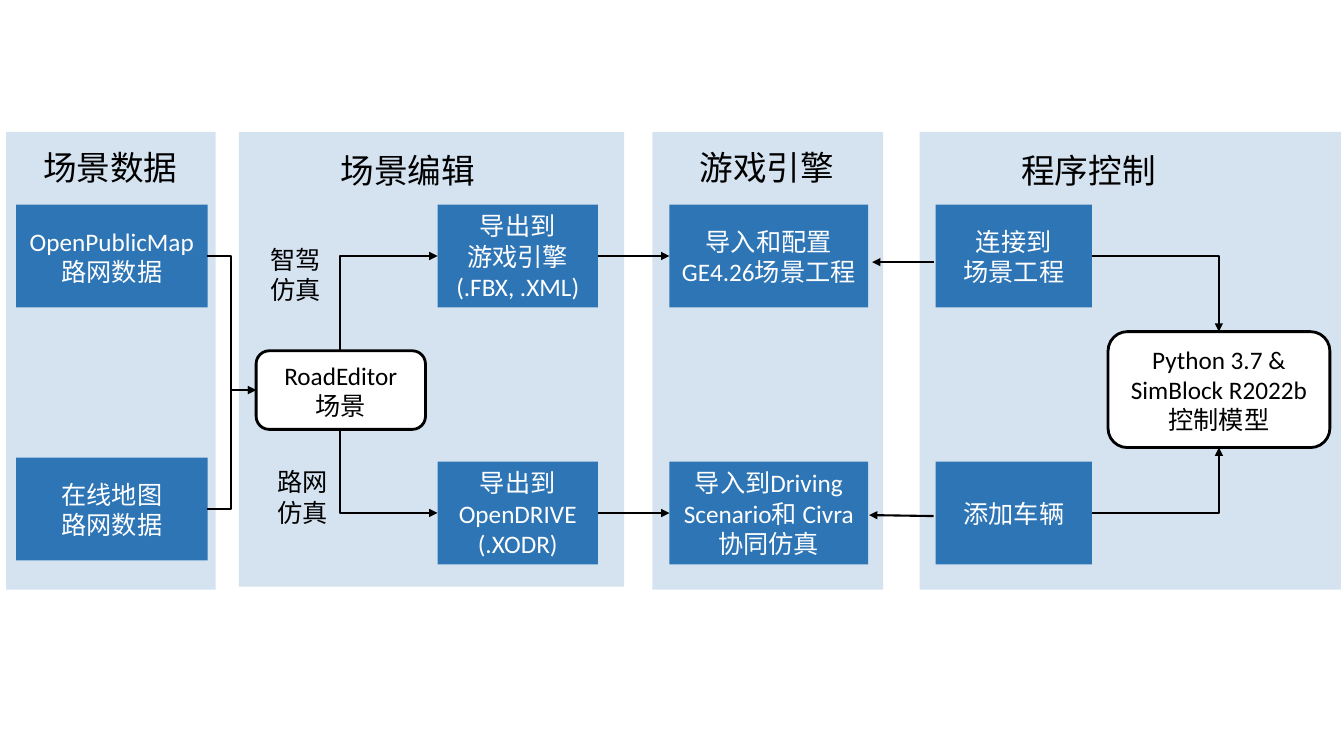
"""Builds a four-stage workflow slide for driving scene simulation."""
from dataclasses import dataclass

from lxml import etree
from pptx import Presentation
from pptx import util as u
from pptx.dml.color import RGBColor
from pptx.enum import shapes, text
from pptx.oxml.ns import qn

BLUE = RGBColor(0x2E, 0x75, 0xB6)
WHITE = RGBColor(0xFF, 0xFF, 0xFF)
BLACK = RGBColor(0x00, 0x00, 0x00)

PANEL_TOP = 1.31
STEP_HEIGHT = 1.02
UPPER_TOP, LOWER_TOP = 2.03, 4.58
UPPER_MID, LOWER_MID = UPPER_TOP + STEP_HEIGHT / 2, LOWER_TOP + STEP_HEIGHT / 2
SOURCE_TOP = 4.54
SOURCE_MID = SOURCE_TOP + STEP_HEIGHT / 2


@dataclass(frozen=True)
class Panel:
    left: float
    width: float
    height: float = 4.54


@dataclass(frozen=True)
class Box:
    words: str
    left: float
    top: float
    width: float
    height: float = STEP_HEIGHT
    rounded: bool = False


@dataclass(frozen=True)
class Label:
    words: str
    left: float
    top: float
    width: float
    height: float = 0.5
    size: int = 24


@dataclass(frozen=True)
class Arrow:
    start: tuple[float, float]
    end: tuple[float, float]
    route: str = "line"
    arrow_end: str = "tailEnd"


PANELS = [Panel(0.06, 2.08), Panel(2.37, 3.82, 4.51), Panel(6.47, 2.29), Panel(9.12, 4.18)]

BOXES = [
    Box("OpenPublicMap路网数据", 0.16, UPPER_TOP, 1.9),
    Box("在线地图\n路网数据", 0.16, SOURCE_TOP, 1.9),
    Box("RoadEditor 场景", 2.54, 3.48, 1.68, 0.78, True),
    Box("导出到\n游戏引擎\n(.FBX, .XML)", 4.34, UPPER_TOP, 1.59),
    Box("导出到\nOpenDRIVE\n(.XODR)", 4.34, LOWER_TOP, 1.59),
    Box("导入和配置\nGE4.26场景工程", 6.64, UPPER_TOP, 1.97),
    Box("导入到Driving Scenario和 Civra协同仿真", 6.64, LOWER_TOP, 1.97),
    Box("连接到\n场景工程", 9.28, UPPER_TOP, 1.55),
    Box("添加车辆", 9.28, LOWER_TOP, 1.55),
    Box("Python 3.7 & SimBlock R2022b\n控制模型", 10.99, 3.29, 2.2, 1.15, True),
]

LABELS = [
    Label("场景数据", 0.33, 1.41, 1.56),
    Label("场景编辑", 3.28, 1.44, 1.55),
    Label("游戏引擎", 6.84, 1.41, 1.56),
    Label("程序控制", 10.03, 1.44, 1.55),
    Label("智驾\n仿真", 2.58, 2.37, 0.71, 0.71, 18),
    Label("路网\n仿真", 2.65, 4.58, 0.71, 0.71, 18),
]

ARROWS = [
    Arrow((2.05, UPPER_MID), (2.54, 3.87), "bentConnector3"),
    Arrow((2.05, SOURCE_MID), (2.54, 3.87), "bentConnector3"),
    Arrow((4.34, UPPER_MID), (3.37, 3.48), "bentConnector2", "headEnd"),
    Arrow((4.34, LOWER_MID), (3.37, 4.26), "bentConnector2", "headEnd"),
    Arrow((5.93, UPPER_MID), (6.64, UPPER_MID)),
    Arrow((5.93, LOWER_MID), (6.64, LOWER_MID)),
    Arrow((9.26, 2.6), (8.65, 2.6)),
    Arrow((9.26, 5.12), (8.62, 5.11)),
    Arrow((10.83, UPPER_MID), (12.09, 3.29), "bentConnector2"),
    Arrow((10.83, LOWER_MID), (12.09, 4.44), "bentConnector2"),
]


def write(frame, words: str, font: str, size: int, color: RGBColor, align) -> None:
    """Fill a text frame and format all its runs alike."""
    frame.text = words
    for para in frame.paragraphs:
        para.alignment = align
        for span in para.runs:
            span.font.name = font
            span.font.size = u.Pt(size)
            span.font.color.rgb = color


def draw_panel(page, panel: Panel) -> None:
    """Draw a translucent stage background."""
    shape = page.shapes.add_shape(
        shapes.MSO_SHAPE.RECTANGLE, u.Inches(panel.left), u.Inches(PANEL_TOP),
        u.Inches(panel.width), u.Inches(panel.height))
    shape.shadow.inherit = False
    shape.fill.solid()
    shape.fill.fore_color.rgb = BLUE
    color = shape._element.spPr.find(qn("a:solidFill")).find(qn("a:srgbClr"))
    etree.SubElement(color, qn("a:alpha"), val="20000")
    shape.line.fill.background()


def draw_box(page, box: Box) -> None:
    """Draw a blue step or a white rounded hub with centred text."""
    kind = shapes.MSO_SHAPE.ROUNDED_RECTANGLE if box.rounded else shapes.MSO_SHAPE.RECTANGLE
    shape = page.shapes.add_shape(
        kind, u.Inches(box.left), u.Inches(box.top), u.Inches(box.width), u.Inches(box.height))
    shape.shadow.inherit = False
    shape.fill.solid()
    shape.fill.fore_color.rgb = WHITE if box.rounded else BLUE
    if box.rounded:
        shape.line.color.rgb = BLACK
        shape.line.width = u.Pt(2)
    else:
        shape.line.fill.background()
    shape.text_frame.word_wrap = True
    shape.text_frame.vertical_anchor = text.MSO_ANCHOR.MIDDLE
    write(shape.text_frame, box.words, "Calibri", 18,
          BLACK if box.rounded else WHITE, text.PP_ALIGN.CENTER)


def draw_label(page, label: Label) -> None:
    """Draw an unwrapped text label."""
    shape = page.shapes.add_textbox(
        u.Inches(label.left), u.Inches(label.top), u.Inches(label.width), u.Inches(label.height))
    shape.text_frame.word_wrap = False
    shape.text_frame.auto_size = text.MSO_AUTO_SIZE.SHAPE_TO_FIT_TEXT
    write(shape.text_frame, label.words, "Times New Roman", label.size, BLACK,
          text.PP_ALIGN.LEFT)


def draw_arrow(page, arrow: Arrow) -> None:
    """Draw a straight or bent connector with one arrowhead."""
    kind = shapes.MSO_CONNECTOR.STRAIGHT if arrow.route == "line" else shapes.MSO_CONNECTOR.ELBOW
    points = [u.Inches(value) for value in (*arrow.start, *arrow.end)]
    connector = page.shapes.add_connector(kind, *points)
    connector.line.color.rgb = BLACK
    connector.line.width = u.Pt(1.5)
    properties = connector._element.spPr
    properties.find(qn("a:prstGeom")).set("prst", arrow.route)
    etree.SubElement(properties.find(qn("a:ln")), qn(f"a:{arrow.arrow_end}"), type="triangle")
    etree.SubElement(properties, qn("a:effectLst"))


def main() -> None:
    """Assemble and save the deck."""
    deck = Presentation()
    deck.slide_width, deck.slide_height = u.Inches(13.33), u.Inches(7.5)
    page = deck.slides.add_slide(deck.slide_layouts[6])
    for panel in PANELS:
        draw_panel(page, panel)
    for box in BOXES:
        draw_box(page, box)
    for label in LABELS:
        draw_label(page, label)
    for arrow in ARROWS:
        draw_arrow(page, arrow)
    deck.save("out.pptx")


if __name__ == "__main__":
    main()
